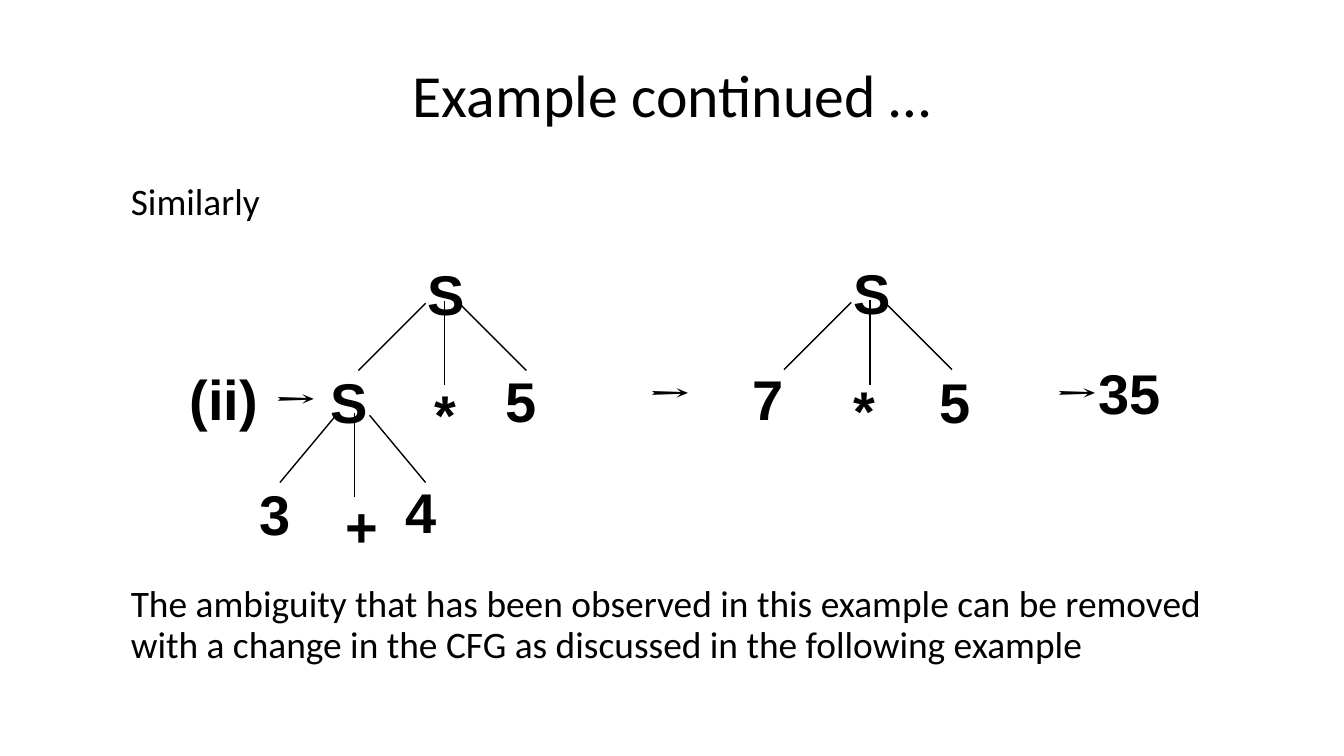
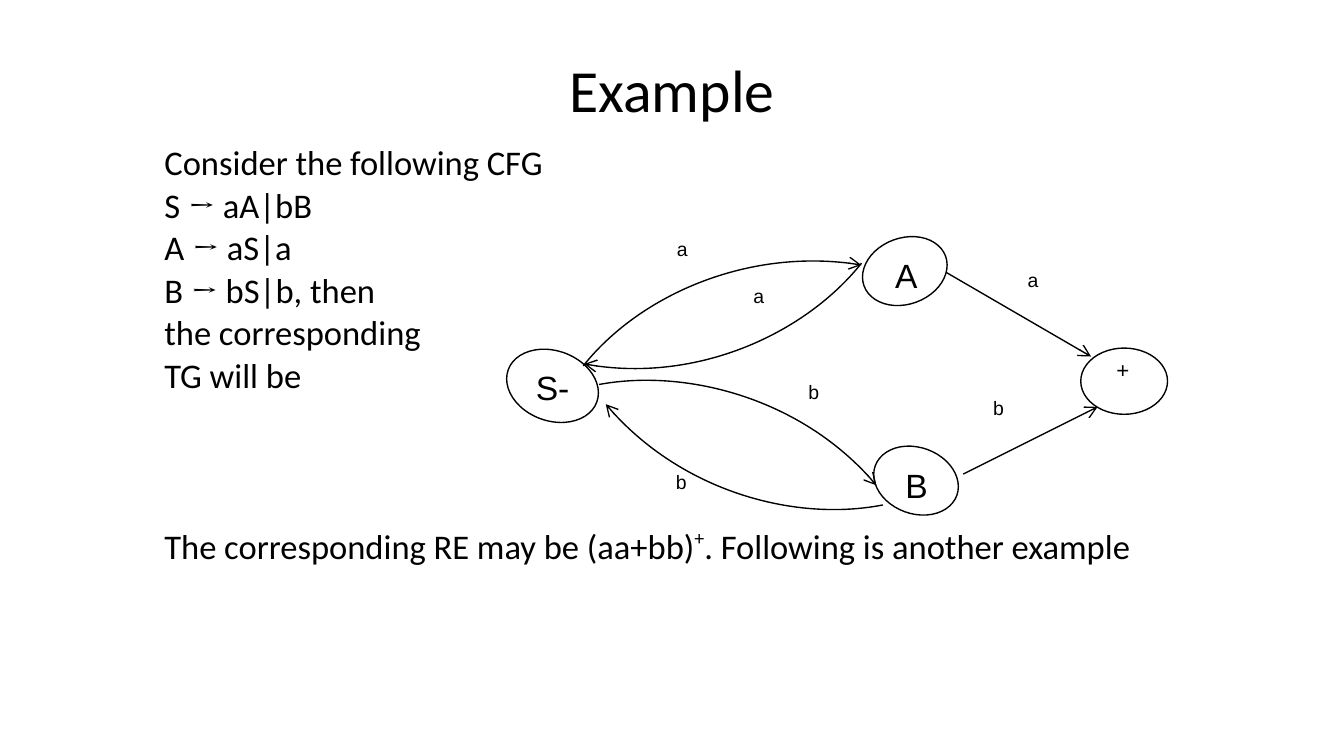
import pptx
import pptx.util
import pptx.dml.color
import pptx.enum.shapes
import pptx.enum.text
import pptx.oxml.ns
from lxml import etree

Pt = pptx.util.Pt
qn = pptx.oxml.ns.qn
BLACK = pptx.dml.color.RGBColor(0, 0, 0)
WHITE = pptx.dml.color.RGBColor(255, 255, 255)
ARROW = "→"
THIN = 0.75

# Slide 1: parse trees
TREE = {
    "title": ("Example continued …", (36, 16.5, 648, 67.5)),
    "body": [
        (["Similarly"], 0),
        (["The ambiguity that has been observed in this example can be removed "
          "with a change in the CFG as discussed in the following example"], 194),
    ],
    "frame": (36, 94.5, 648, 267),
}
SIGNS = [  # pieces, left, top, width
    (["S"], 222, 135.5, 66), (["5"], 264, 193, 66), (["*"], 225.5, 200, 66),
    (["(ii) ", ARROW], 94.5, 192, 96), ([ARROW], 340, 188.5, 96),
    (["S"], 450, 135, 66), (["7"], 396, 192, 66), (["5"], 496, 193.5, 66),
    (["*"], 450, 197.5, 66), ([ARROW, "35"], 558, 188.5, 96),
    (["S"], 170, 193.5, 66), (["3"], 132, 253.5, 66), (["4"], 210, 252.5, 66),
    (["+"], 178, 260, 66),
]
FORKS = [(228, 162.5, 36), (456, 162, 36), (180, 222.5, 30)]  # left, top, reach

# Slide 2: transition graph
GRAPH = {
    "title": ("Example", (54, 13.5, 612, 67.5)),
    "body": [
        (["Consider the following CFG"], 0),
        (["S ", ARROW, " aA|bB"], 5),
        (["A ", ARROW, " aS|a"], 5),
        (["B ", ARROW, " bS|b, then"], 5),
        (["the corresponding"], 5),
        (["TG will be"], 5),
        (["The corresponding RE may be (aa+bb)", "+",
          ". Following is another example"], 74),
    ],
    "frame": (54, 76.5, 612, 242.5),
}
STATES = [  # left, top, width, height, turn
    (461.5, 127.5, 46.5, 35.5, -20), (467.5, 239.75, 46.5, 35.5, 20),
    (270.75, 188, 50.5, 37.5, 20), (579, 186.5, 46.5, 35.5, 0),
]
ARCS = [  # start, two control points, end
    [(461.5, 141), (432, 178), (372, 206), (313, 195)],
    [(312.5, 196), (342, 159), (402, 132), (461.5, 142)],
    [(473, 270.5), (427, 279.5), (363.5, 263), (324.5, 216.5)],
    [(321, 206), (367, 197.5), (431, 214), (469.5, 260)],
]
EDGES = [(507, 146, 584.5, 191), (516, 254, 588, 218)]
NAMES = [("S-", 280, 193), ("A", 472.5, 133), ("B", 478, 245.5)]
MARKS = [("a", 543.5, 142.5), ("a", 396.5, 151), ("a", 355.5, 126),
         ("b", 525, 211), ("b", 355, 250.5), ("b", 426, 202.5)]


def write(par, parts, size, face, bold=False):
    for part in parts:
        run = par.add_run()
        run.text = part
        font = run.font
        font.size, font.bold = Pt(size), bold
        font.name = "Cambria" if part == ARROW else face
        font.color.rgb = BLACK


def box(slide, place):
    frame = slide.shapes.add_textbox(*map(Pt, place)).text_frame
    frame.word_wrap = True
    return frame


def label(slide, parts, place, size, bold=False, lead=1.0):
    par = box(slide, place).paragraphs[0]
    par.line_spacing = lead
    write(par, parts, size, "Arial", bold)


def page(deck, data, size, lead):
    """Add a slide with its title and body; return it with the body frame."""
    slide = deck.slides.add_slide(deck.slide_layouts[6])
    words, place = data["title"]
    head = box(slide, place)
    head.vertical_anchor = pptx.enum.text.MSO_ANCHOR.MIDDLE
    head.paragraphs[0].alignment = pptx.enum.text.PP_ALIGN.CENTER
    write(head.paragraphs[0], [words], 32, "Calibri")

    body = box(slide, data["frame"])
    for num, (parts, gap) in enumerate(data["body"]):
        par = body.add_paragraph() if num else body.paragraphs[0]
        par.line_spacing, par.space_before = lead, Pt(gap)
        par._p.get_or_add_pPr().set("marL", str(Pt(27)))
        write(par, parts, size, "Calibri")
    return slide, body


def stroke(shape, tip=False):
    shape.line.color.rgb = BLACK
    shape.line.width = Pt(THIN)
    if tip:
        ln = shape.line._get_or_add_ln()
        etree.SubElement(ln, qn("a:tailEnd"), type="arrow")


def link(slide, ends, tip=False):
    kind = pptx.enum.shapes.MSO_CONNECTOR.STRAIGHT
    line = slide.shapes.add_connector(kind, *map(Pt, ends))
    stroke(line, tip)
    etree.SubElement(line._element.spPr, qn("a:effectLst"))


def fork(slide, x, y, reach):
    link(slide, (x, y, x - reach, y + 36))
    link(slide, (x + 18, y, x + 18 + reach, y + 36))
    link(slide, (x + 10, y - 1, x + 10, y + 44))


def state(slide, place, turn):
    kind = pptx.enum.shapes.MSO_SHAPE.OVAL
    oval = slide.shapes.add_shape(kind, *map(Pt, place))
    oval.rotation = turn
    oval.shadow.inherit = False
    oval.fill.solid()
    oval.fill.fore_color.rgb = WHITE
    stroke(oval)


def arc(slide, dots):
    first, *rest = [(Pt(x), Pt(y)) for x, y in dots]
    pen = slide.shapes.build_freeform(*first)
    pen.add_line_segments(rest, close=False)
    shape = pen.convert_to_shape()
    shape.shadow.inherit = False
    shape.fill.background()
    stroke(shape, tip=True)
    # Turn the three straight segments into one cubic curve
    legs = list(shape._element.iter(qn("a:lnTo")))
    curve = etree.SubElement(legs[0].getparent(), qn("a:cubicBezTo"))
    for leg in legs:
        curve.append(leg[0])
        leg.getparent().remove(leg)


def main():
    deck = pptx.Presentation()
    deck.slide_width, deck.slide_height = Pt(720), Pt(405)

    # Parse trees
    slide, _ = page(deck, TREE, 20, 0.9)
    for parts, x, y, wide in SIGNS:
        label(slide, parts, (x, y, wide, 43), 30, bold=True)
    for spot in FORKS:
        fork(slide, *spot)

    # Transition graph
    slide, body = page(deck, GRAPH, 18.5, 0.8)
    power = body.paragraphs[-1].runs[1]
    power._r.get_or_add_rPr().set("baseline", "40000")
    for *place, turn in STATES:
        state(slide, place, turn)
    for dots in ARCS:
        arc(slide, dots)
    for ends in EDGES:
        link(slide, ends, tip=True)
    for name, x, y in NAMES:
        label(slide, [name], (x, y, 72, 29), 18)
    for mark, x, y in MARKS:
        label(slide, [mark], (x, y, 29.5, 21.5), 10.4, lead=0.8)
    label(slide, ["+"], (591, 190, 73.5, 23), 11.9, lead=0.8)

    deck.save("out.pptx")


if __name__ == "__main__":
    main()
